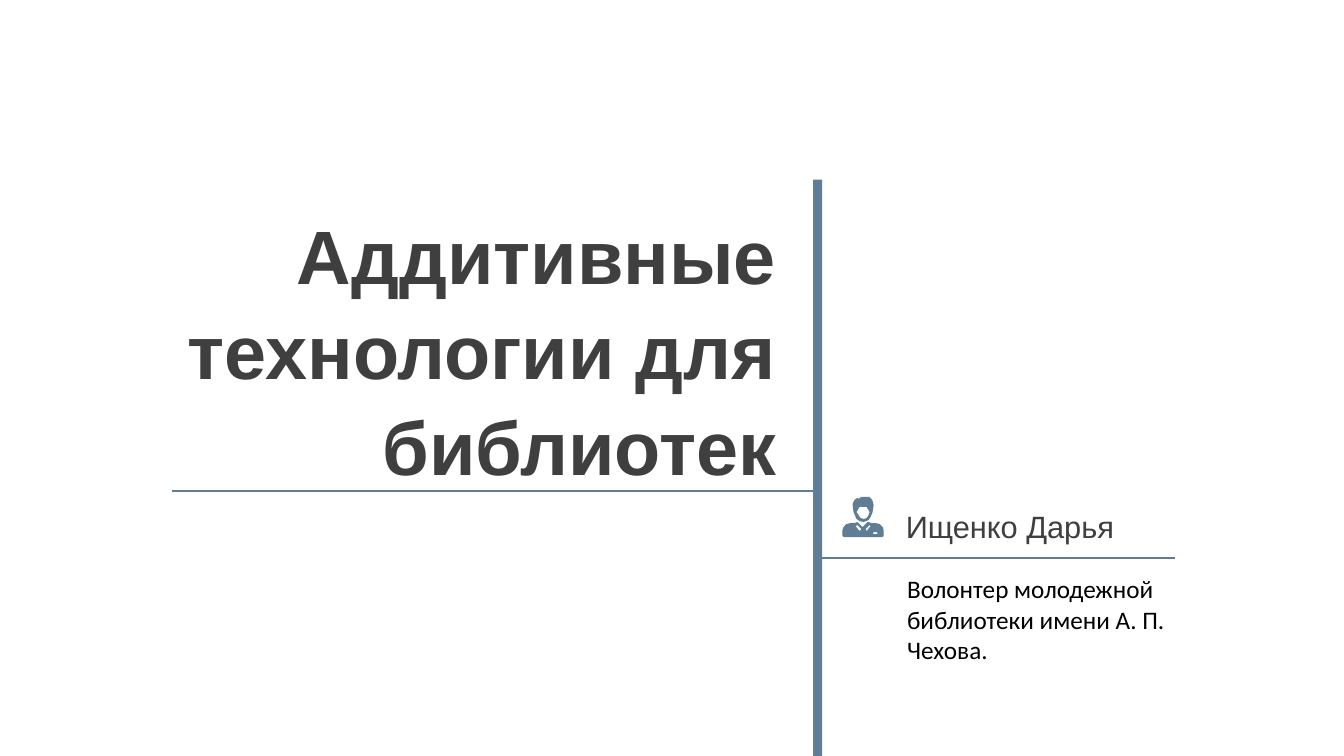
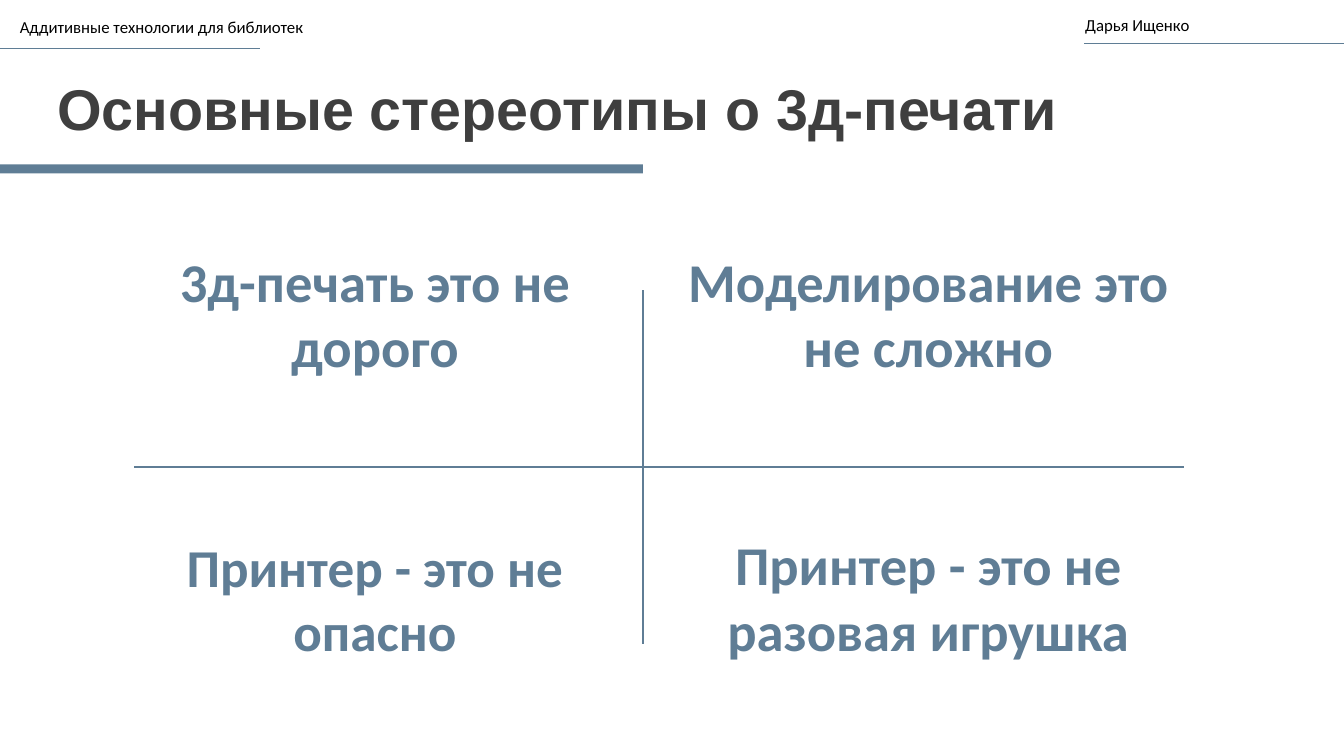
import dataclasses

import lxml.etree
import pptx
import pptx.dml.color
import pptx.enum.shapes
import pptx.enum.text
import pptx.util

Cm = pptx.util.Cm
ALIGN = pptx.enum.text.PP_ALIGN
ANCHOR = pptx.enum.text.MSO_ANCHOR


# Colours, fonts and type sizes
@dataclasses.dataclass(frozen=True)
class Theme:
    blue: str = "5F7D95"
    dark: str = "3F3F3F"
    black: str = "000000"
    head: str = "Arial"
    body: str = "Calibri"
    cover: int = 54
    title: int = 41
    claim: int = 39
    name: int = 22
    role: int = 18
    note: int = 12
    thin: float = 0.75
    rule: float = 1.5
    bar: float = 0.23
    lead: float = 1.05


THEME = Theme()
WIDE, HIGH = 33.87, 19.05
TALK = "Аддитивные технологии для библиотек"

# Text styles
TITLE = dict(name=THEME.head, bold=True, color=THEME.dark)
CLAIM = dict(name=THEME.body, bold=True, color=THEME.blue)
PLAIN = dict(name=THEME.body, color=THEME.black)

# Icon outlines, in hundredths of an inch
HEAD = [
    [(23, 0), (19, 0.5), (16, 2), (15, 1), (12, 3), (10, 7), (11, 15),
     (14, 22), (17, 24.2), (21, 25), (25.5, 23), (28, 19.5), (30, 15),
     (31, 8), (30, 4), (28, 1), (25.5, 0.2)],
    [(24, 10), (27, 15), (26.4, 18.5), (24.5, 21), (21, 22),
     (17.5, 21), (15.6, 18.5), (14, 15), (17, 10)],
]
COAT = [
    [(15, 25), (12, 26), (8, 26), (4, 27), (1, 30), (0, 33), (0, 39),
     (2, 40), (39, 40), (41, 39), (41, 33), (40, 30), (37, 27),
     (33, 26), (29, 26), (26, 25), (25, 25), (20, 30)],
    [(15, 28), (19, 32), (17, 34), (13, 29)],
    [(27, 28), (28, 29), (24, 34), (23, 32)],
    [(34, 35), (35, 36), (34, 37), (31, 37), (29.5, 36), (31, 35)],
]


def tint(hue):
    return pptx.dml.color.RGBColor.from_string(hue)


def paint(shape):
    """Flat blue fill, no outline, no shadow."""
    shape.shadow.inherit = False
    shape.fill.solid()
    shape.fill.fore_color.rgb = tint(THEME.blue)
    shape.line.fill.background()


def add_text(slide, text, area, size, style, align=ALIGN.LEFT,
             anchor=ANCHOR.TOP, lead=1.0):
    box = slide.shapes.add_textbox(*map(Cm, area))
    frame = box.text_frame
    frame.word_wrap = True
    frame.vertical_anchor = anchor
    part = frame.paragraphs[0]
    part.alignment = align
    part.line_spacing = lead
    run = part.add_run()
    run.text = text
    run.font.size = pptx.util.Pt(size)
    for key, value in style.items():
        if key == "color":
            run.font.color.rgb = tint(value)
        else:
            setattr(run.font, key, value)


def add_line(slide, start, end, width=THEME.rule):
    kind = pptx.enum.shapes.MSO_CONNECTOR.STRAIGHT
    line = slide.shapes.add_connector(kind, *map(Cm, start + end))
    line.line.color.rgb = tint(THEME.blue)
    line.line.width = pptx.util.Pt(width)
    lxml.etree.SubElement(line._element.spPr, pptx.oxml.ns.qn("a:effectLst"))


def add_bar(slide, area):
    kind = pptx.enum.shapes.MSO_SHAPE.RECTANGLE
    paint(slide.shapes.add_shape(kind, *map(Cm, area)))


def add_icon(slide, left, top):
    group = slide.shapes.add_group_shape()
    for loops in (HEAD, COAT):
        pen = group.shapes.build_freeform(*loops[0][0], scale=Cm(0.0254))
        pen.add_line_segments(loops[0][1:], close=True)
        for loop in loops[1:]:
            pen.move_to(*loop[0])
            pen.add_line_segments(loop[1:], close=True)
        paint(pen.convert_to_shape(Cm(left), Cm(top)))


def build_cover(slide):
    # Talk title
    add_text(slide, TALK, (1.7, 5.03, 18.11, 7.19), THEME.cover, TITLE,
             ALIGN.RIGHT, lead=THEME.lead)
    # Speaker
    add_text(slide, "Ищенко Дарья", (22.58, 12.62, 9.45, 1.19), THEME.name,
             TITLE | dict(bold=False), lead=THEME.lead)
    add_text(slide, "Волонтер молодежной библиотеки имени А. П. Чехова.",
             (22.61, 14.33, 8.69, 2.57), THEME.role, PLAIN)
    add_icon(slide, 21.23, 12.52)
    # Bar and rules
    add_bar(slide, (20.49, 4.53, THEME.bar, HIGH - 4.53))
    add_line(slide, (20.68, 14.07), (29.62, 14.07))
    add_line(slide, (4.34, 12.37), (20.49, 12.37))


def build_myths(slide):
    # Running header
    add_text(slide, TALK, (0.25, 0.3, 10.11, 0.76), THEME.note, PLAIN)
    add_line(slide, (0, 1.22), (6.55, 1.22), THEME.thin)
    add_text(slide, "Дарья Ищенко", (27.1, 0.25, 6.77, 0.76), THEME.note,
             PLAIN)
    add_line(slide, (27.33, 1.09), (WIDE, 1.09), THEME.thin)
    # Title and bar
    add_text(slide, "Основные стереотипы о 3д-печати",
             (1.19, 1.63, 31.6, 2.57), THEME.title, TITLE, lead=THEME.lead)
    add_bar(slide, (0, 4.14, 16.2, THEME.bar))
    # Cross
    add_line(slide, (3.38, 11.76), (29.85, 11.76))
    add_line(slide, (16.2, 7.32), (16.2, 16.23))
    # Claims in the four fields
    cols = [(3.38, 12.14), (16.88, 13.03)]
    rows = [(6.12, ANCHOR.TOP), (12.24, ANCHOR.BOTTOM)]
    claims = [
        [("3д-печать это не дорого", THEME.claim),
         ("Моделирование это не сложно", THEME.claim)],
        [("Принтер - это не опасно", THEME.claim - 1),
         ("Принтер - это не разовая игрушка", THEME.claim)],
    ]
    for (top, anchor), row in zip(rows, claims):
        for (left, width), (text, size) in zip(cols, row):
            add_text(slide, text, (left, top, width, 4.57), size, CLAIM,
                     ALIGN.CENTER, anchor)


def main():
    deck = pptx.Presentation()
    deck.slide_width, deck.slide_height = Cm(WIDE), Cm(HIGH)
    for build in (build_cover, build_myths):
        build(deck.slides.add_slide(deck.slide_layouts[6]))
    deck.save("out.pptx")


if __name__ == "__main__":
    main()
